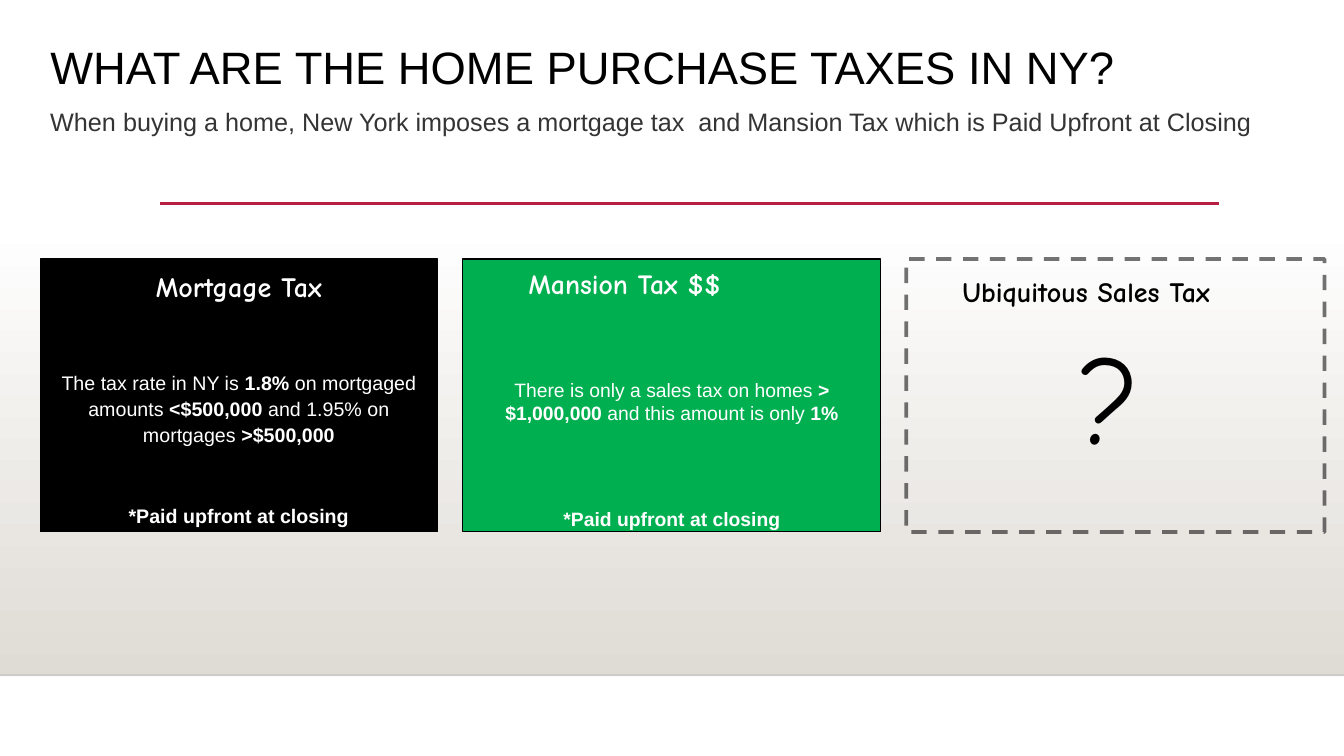
"""Build the slide on New York home purchase taxes."""
import pptx
import pptx.dml.color
import pptx.enum.dml
import pptx.enum.shapes
import pptx.enum.text
import pptx.oxml
import pptx.oxml.ns
import pptx.util

Pt = pptx.util.Pt
ALIGN = pptx.enum.text.PP_ALIGN
SANS, HAND = "Arial", "Comic Neue"
SLIDE_WIDTH, SLIDE_HEIGHT = 960, 540
CARD_TOP, CARD_HEIGHT = 185, 195

HEADING = "WHAT ARE THE HOME PURCHASE TAXES IN NY?"
SUBHEADING = ("When buying a home, New York imposes a mortgage tax  and "
              "Mansion Tax which is Paid Upfront at Closing")
FOOTNOTE = [("*Paid upfront at closing", True)]
CARDS = [
    dict(left=28.8, width=283.7, fill="000000", inset=5, paragraphs=[
        ([("Mortgage Tax", True)], dict(size=20, font=HAND, align=ALIGN.CENTER, spacing=1.1)),
        ([("The tax rate in NY is ", False), ("1.8% ", True), ("on mortgaged amounts ", False),
          ("<$500,000 ", True), ("and 1.95% on mortgages ", False), (">$500,000", True)],
         dict(size=14, align=ALIGN.CENTER, spacing=1.1, before=47)),
        (FOOTNOTE, dict(size=14, align=ALIGN.CENTER, spacing=1.1, before=39.5)),
    ]),
    dict(left=330.5, width=298.8, fill="00B050", inset=5.5, paragraphs=[
        ([("Mansion Tax $$", True)], dict(size=19.8, font=HAND, indent=40)),
        ([("There is only a sales tax on homes ", False), ("> $1,000,000 ", True),
          ("and this amount is only ", False), ("1%", True)],
         dict(size=13.8, align=ALIGN.CENTER, before=56)),
        (FOOTNOTE, dict(size=13.8, align=ALIGN.CENTER, before=59)),
    ]),
    dict(left=647.3, width=298.8, fill=None, inset=6, paragraphs=[
        ([("Ubiquitous Sales Tax", True)],
         dict(size=20, font=HAND, color="000000", indent=33, spacing=1.2)),
    ]),
]


def rgb(value):
    """Return the colour for a hex string."""
    return pptx.dml.color.RGBColor.from_string(value)


def write(paragraph, runs, size, font=SANS, color="FFFFFF", align=ALIGN.LEFT,
          spacing=1.0, before=0, indent=0):
    """Fill a paragraph with (text, bold) runs in one format."""
    if indent:
        paragraph._p.get_or_add_pPr().set("marL", str(Pt(indent)))
    paragraph.alignment = align
    paragraph.line_spacing = spacing
    paragraph.space_before = Pt(before)
    for text, bold in runs:
        run = paragraph.add_run()
        run.text = text
        run.font.size, run.font.name, run.font.bold = Pt(size), font, bold
        run.font.color.rgb = rgb(color)


def set_line(line, color, width, opacity=100):
    """Format an outline, with its opacity in percent."""
    line.color.rgb = rgb(color)
    line.width = Pt(width)
    if opacity < 100:
        hue = line.fill._xPr.find(".//" + pptx.oxml.ns.qn("a:srgbClr"))
        alpha = pptx.oxml.parse_xml(
            f'<a:alpha {pptx.oxml.ns.nsdecls("a")} val="{opacity * 1000}"/>')
        hue.append(alpha)


def add_rule(slide, left, right, top, color, width, opacity=100):
    """Draw a horizontal line without a shadow."""
    rule = slide.shapes.add_connector(
        pptx.enum.shapes.MSO_CONNECTOR.STRAIGHT, Pt(left), Pt(top), Pt(right), Pt(top))
    set_line(rule.line, color, width, opacity)
    rule._element.spPr.append(
        pptx.oxml.parse_xml(f'<a:effectLst {pptx.oxml.ns.nsdecls("a")}/>'))


def add_rectangle(slide, left, top, width, height):
    """Add a rectangle without a shadow."""
    rectangle = slide.shapes.add_shape(
        pptx.enum.shapes.MSO_SHAPE.RECTANGLE, Pt(left), Pt(top), Pt(width), Pt(height))
    rectangle.shadow.inherit = False
    return rectangle


def add_backdrop(slide):
    """Add the fading band behind the cards."""
    band = add_rectangle(slide, 0, 159, SLIDE_WIDTH, 323.4)
    band.fill.gradient()
    band.fill.gradient_angle = 270
    for stop, color in zip(band.fill.gradient_stops, ("FFFFFF", "DFDBD5")):
        stop.color.rgb = rgb(color)
    band.line.fill.background()


def add_card(slide, left, width, fill, inset, paragraphs):
    """Add one tax card with its text."""
    card = add_rectangle(slide, left, CARD_TOP, width, CARD_HEIGHT)
    if fill:
        card.fill.solid()
        card.fill.fore_color.rgb = rgb(fill)
        set_line(card.line, "000000", 0.75)
    else:
        card.fill.background()
        set_line(card.line, "000000", 2.75, 54)
        card.line.dash_style = pptx.enum.dml.MSO_LINE.DASH
    frame = card.text_frame
    frame.vertical_anchor = pptx.enum.text.MSO_ANCHOR.TOP
    frame.margin_top = Pt(inset)
    for number, (runs, style) in enumerate(paragraphs):
        write(frame.add_paragraph() if number else frame.paragraphs[0], runs, **style)


def add_label(slide, left, top, width, height, text, **style):
    """Add a one-line text box."""
    label = slide.shapes.add_textbox(Pt(left), Pt(top), Pt(width), Pt(height))
    write(label.text_frame.paragraphs[0], [(text, False)], **style)


def main():
    """Assemble and save the slide."""
    deck = pptx.Presentation()
    deck.slide_width, deck.slide_height = Pt(SLIDE_WIDTH), Pt(SLIDE_HEIGHT)
    slide = deck.slides.add_slide(deck.slide_layouts[5])
    add_backdrop(slide)
    add_rule(slide, 0, SLIDE_WIDTH, 482.4, "000001", 1, 20)
    add_rule(slide, 114.5, 871, 145.4, "B71E42", 2.5)

    heading = slide.shapes.title
    heading.left, heading.top = Pt(28.8), Pt(26.6)
    heading.width, heading.height = Pt(849.6), Pt(44)
    heading.text_frame.vertical_anchor = pptx.enum.text.MSO_ANCHOR.TOP
    heading.text_frame.margin_top = Pt(6)
    write(heading.text_frame.paragraphs[0], [(HEADING, False)], size=32.4,
          color="000000", spacing=0.9)
    add_label(slide, 28.8, 72.2, 895, 28, SUBHEADING, size=18, color="343434")

    for card in CARDS:
        add_card(slide, **card)
    add_label(slide, 763.2, 226, 51, 108, "?", size=88, font=HAND, color="000000")
    deck.save("out.pptx")


if __name__ == "__main__":
    main()
